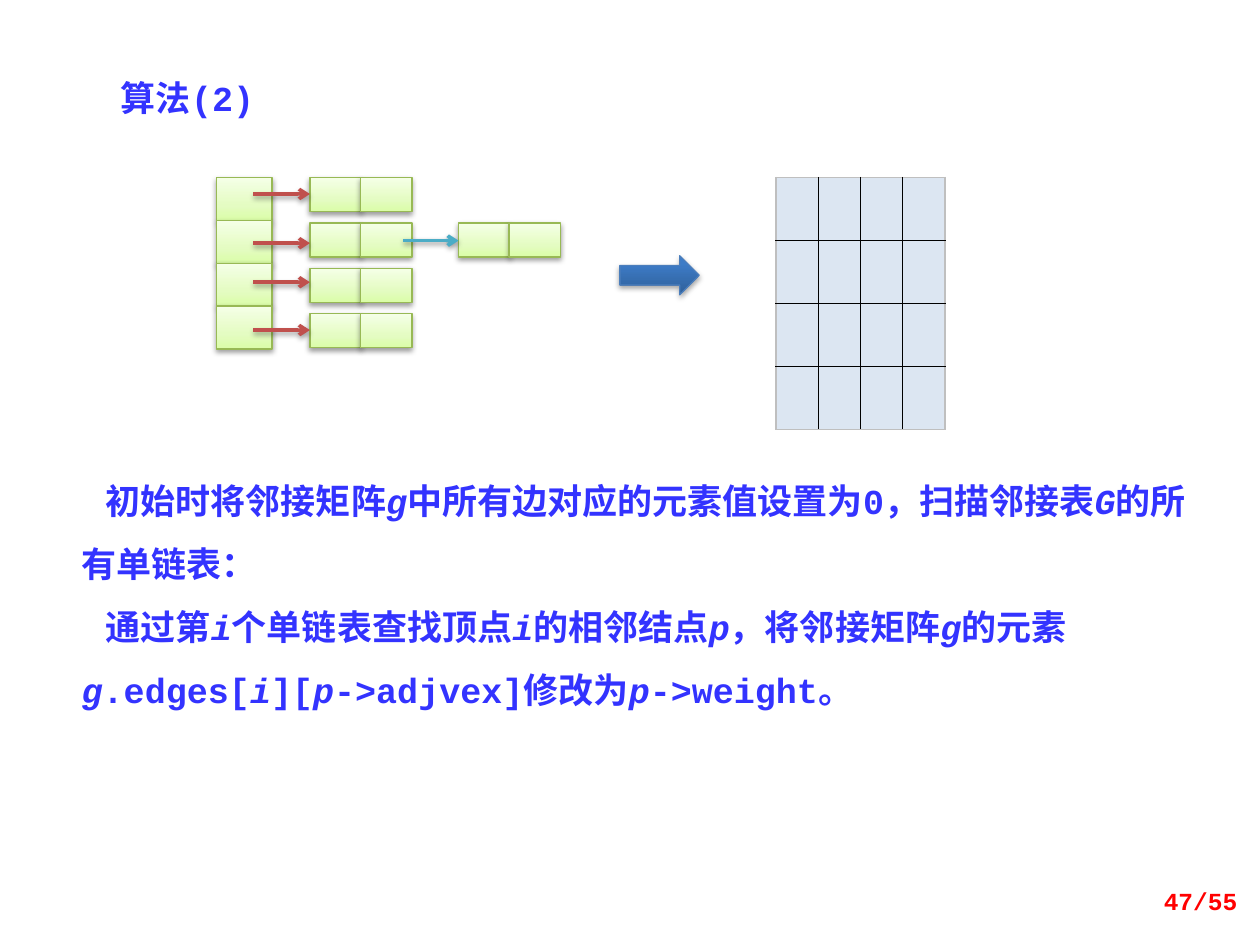
from lxml.etree import SubElement
from pptx import Presentation
from pptx.dml.color import RGBColor
from pptx.enum.shapes import MSO_CONNECTOR, MSO_SHAPE
from pptx.enum.text import MSO_ANCHOR, MSO_AUTO_SIZE, PP_ALIGN
from pptx.oxml.ns import qn
from pptx.util import Inches, Pt

BLUE = "3333FF"
NODE_GRADIENT = [(0, "DAFDA7"), (35, "E4FCC2"), (100, "F5FFE7")]
ARROW_GRADIENT = [(0, "2F5F99"), (80, "3D7CC7"), (100, "3A7CCB")]
LIST_TOP = 1.41
NODE_WIDTH, NODE_HEIGHT, NODE_STEP = 0.41, 0.27, 0.36
VERTEX_WIDTH, VERTEX_HEIGHT = 0.44, 0.34
ADJACENT_LEFT, SECOND_ADJACENT_LEFT = 2.46, 3.64


def rgb(color):
    return RGBColor.from_string(color)


def add_color(parent, color, alpha=100):
    tint = SubElement(parent, qn("a:srgbClr"), val=color)
    if alpha < 100:
        SubElement(tint, qn("a:alpha"), val=str(alpha * 1000))


def add_shadow(effects, alpha=38, distance=1.6):
    shadow = SubElement(effects, qn("a:outerShdw"), blurRad=str(Pt(3.1)),
                        dist=str(Pt(distance)), dir=str(90 * 60000), rotWithShape="0")
    add_color(shadow, "000000", alpha)


def write_text(frame, paragraphs, size=20, color=BLUE, align=PP_ALIGN.LEFT,
               anchor=MSO_ANCHOR.TOP, spacing=1.5, indent=0):
    frame.word_wrap = True
    frame.auto_size = MSO_AUTO_SIZE.NONE
    frame.vertical_anchor = anchor
    for index, text in enumerate(paragraphs):
        paragraph = frame.paragraphs[0] if index == 0 else frame.add_paragraph()
        paragraph.alignment = align
        paragraph.line_spacing = spacing
        if indent:
            paragraph._p.get_or_add_pPr().set("indent", str(Inches(indent)))
        for position, part in enumerate(text.split("|")):
            if part:
                run = paragraph.add_run()
                run.text = part
                run.font.name = "Courier New"
                run.font.size = Pt(size)
                run.font.bold = True
                run.font.italic = position % 2 == 1
                run.font.color.rgb = rgb(color)


def add_text(slide, box, paragraphs, **text_format):
    frame = slide.shapes.add_textbox(*map(Inches, box)).text_frame
    write_text(frame, paragraphs, **text_format)


def add_gradient_shape(slide, kind, box, gradient, outline, **shadow_format):
    shape = slide.shapes.add_shape(kind, *map(Inches, box))
    shape.fill.gradient()
    shape.fill.gradient_angle = 90
    properties = shape._element.spPr
    stops = properties.find(".//" + qn("a:gsLst"))
    stops.clear()
    for position, color in gradient:
        add_color(SubElement(stops, qn("a:gs"), pos=str(position * 1000)), color)
    shape.line.color.rgb = rgb(outline)
    shape.line.width = Pt(0.75)
    shape.shadow.inherit = False
    add_shadow(properties.find(qn("a:effectLst")), **shadow_format)


def add_list_cell(slide, left, top, width=NODE_WIDTH, height=NODE_HEIGHT):
    add_gradient_shape(slide, MSO_SHAPE.RECTANGLE, (left, top, width, height),
                       NODE_GRADIENT, "98B955")


def add_adjacent_node(slide, left, row):
    for field in range(2):
        add_list_cell(slide, left + field * 0.4, LIST_TOP + row * NODE_STEP)


def add_pointer(slide, start, end, y, color):
    pointer = slide.shapes.add_connector(
        MSO_CONNECTOR.STRAIGHT, Inches(start), Inches(y), Inches(end), Inches(y))
    pointer.line.color.rgb = rgb(color)
    pointer.line.width = Pt(2)
    SubElement(pointer.line._get_or_add_ln(), qn("a:tailEnd"), type="arrow")
    add_shadow(SubElement(pointer._element.spPr, qn("a:effectLst")))


def add_adjacency_list(slide):
    for row in range(4):
        add_list_cell(slide, 1.72, LIST_TOP + row * VERTEX_HEIGHT,
                      VERTEX_WIDTH, VERTEX_HEIGHT)
        add_adjacent_node(slide, ADJACENT_LEFT, row)
    add_adjacent_node(slide, SECOND_ADJACENT_LEFT, 1)
    for y in (1.54, 1.93, 2.24, 2.62):
        add_pointer(slide, 2.01, ADJACENT_LEFT, y, "C0504D")
    add_pointer(slide, 3.2, SECOND_ADJACENT_LEFT, 1.91, "4BACC6")


def add_matrix(slide, size=4):
    matrix = slide.shapes.add_table(size, size, Inches(6.16), Inches(LIST_TOP),
                                    Inches(1.34), Inches(2)).table
    matrix.first_row = False
    matrix.horz_banding = False
    last = size - 1
    for row in range(size):
        for column in range(size):
            cell = matrix.cell(row, column)
            outer_sides = {"L": column == 0, "R": column == last,
                           "T": row == 0, "B": row == last}
            for side, outer in outer_sides.items():
                border = SubElement(cell._tc.get_or_add_tcPr(), qn(f"a:ln{side}"),
                                    w=str(Pt(1)))
                add_color(SubElement(border, qn("a:solidFill")),
                          "BFBFBF" if outer else "000000")
            cell.fill.solid()
            cell.fill.fore_color.rgb = rgb("DCE6F2")


def main():
    presentation = Presentation()
    presentation.slide_width = Inches(10)
    presentation.slide_height = Inches(7.5)
    slide = presentation.slides.add_slide(presentation.slide_layouts[5])

    title = slide.shapes.title
    title.left, title.top, title.width, title.height = map(Inches, (0.86, 0.39, 1.72, 0.55))
    write_text(title.text_frame, ["算法(2)"])

    add_matrix(slide)
    add_gradient_shape(slide, MSO_SHAPE.RIGHT_ARROW, (4.92, 2.03, 0.63, 0.31),
                       ARROW_GRADIENT, "4B7EBC", alpha=35, distance=1.8)
    add_adjacency_list(slide)
    add_text(slide, (0.55, 3.59, 8.98, 2.06), [
        "初始时将邻接矩阵|g|中所有边对应的元素值设置为0，扫描邻接表|G|的所有单链表：",
        "通过第|i|个单链表查找顶点|i|的相邻结点|p|，将邻接矩阵|g|的元素"
        "|g|.edges[|i|][|p|->adjvex]修改为|p|->weight。",
    ], indent=0.19)
    add_text(slide, (7.59, 6.95, 2.33, 0.4), ["47/55"], size=14, color="FF0000",
             align=PP_ALIGN.RIGHT, anchor=MSO_ANCHOR.MIDDLE, spacing=1)
    presentation.save("out.pptx")


if __name__ == "__main__":
    main()
